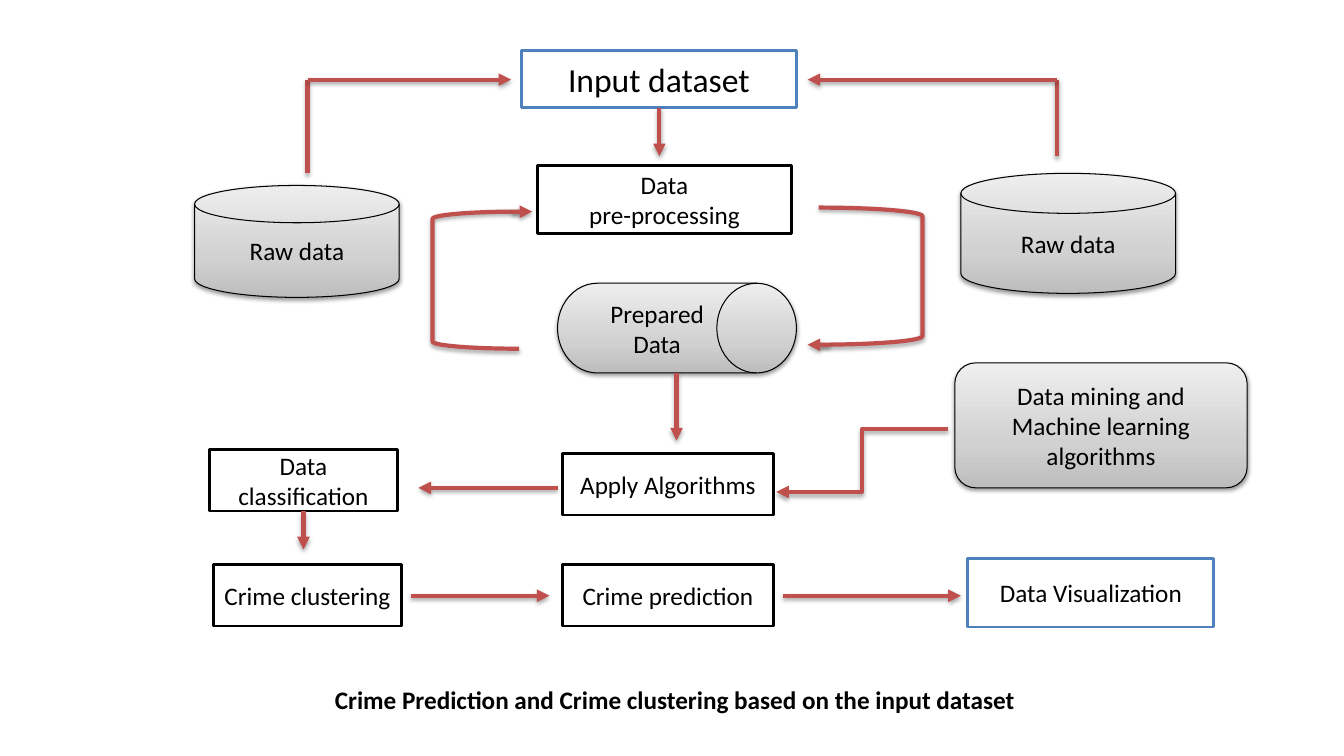
from copy import deepcopy
from dataclasses import dataclass

from lxml.etree import SubElement
from pptx import Presentation
from pptx.dml.color import RGBColor
from pptx.enum.shapes import MSO_CONNECTOR, MSO_SHAPE
from pptx.enum.text import MSO_ANCHOR, PP_ALIGN
from pptx.oxml.ns import qn
from pptx.util import Inches, Pt


@dataclass(frozen=True)
class Theme:
    font: str = "Calibri"
    text: RGBColor = RGBColor(0x00, 0x00, 0x00)
    paper: RGBColor = RGBColor(0xFF, 0xFF, 0xFF)
    outline: RGBColor = RGBColor(0x00, 0x00, 0x00)
    accent: RGBColor = RGBColor(0x4F, 0x81, 0xBD)
    flow: RGBColor = RGBColor(0xC0, 0x50, 0x4D)
    metal: tuple = (
        (0, RGBColor(0xBD, 0xBD, 0xBD)),
        (0.35, RGBColor(0xD1, 0xD1, 0xD1)),
        (1, RGBColor(0xEE, 0xEE, 0xEE)),
    )
    body_size: int = 18
    heading_size: int = 24
    box_line: float = 2
    store_line: float = 0.75
    flow_line: float = 3
    store_shadow: tuple = (1.6, 38)
    flow_shadow: tuple = (1.8, 35)


class FlowSlide:
    def __init__(self, slide, theme):
        self.slide = slide
        self.theme = theme

    def caption(self, text, *place):
        title = self.slide.shapes.title
        title.left, title.top, title.width, title.height = map(Inches, place)
        self._write(title.text_frame, text, self.theme.body_size, PP_ALIGN.LEFT, True)
        title.text_frame.vertical_anchor = MSO_ANCHOR.TOP

    def box(self, text, *place, line=None, size=None):
        step = self._shape(MSO_SHAPE.RECTANGLE, place, line or self.theme.outline, self.theme.box_line)
        step.fill.solid()
        step.fill.fore_color.rgb = self.theme.paper
        self._write(step.text_frame, text, size or self.theme.body_size)

    def store(self, kind, text, *place):
        store = self._shape(kind, place, self.theme.outline, self.theme.store_line)
        store.fill.gradient()
        store.fill.gradient_angle = 90
        stop_list = store._element.spPr.find(".//" + qn("a:gsLst"))
        stop_list.insert(1, deepcopy(stop_list[0]))
        for stop, (position, colour) in zip(store.fill.gradient_stops, self.theme.metal):
            stop.position = position
            stop.color.rgb = colour
        self._shade(store._element.spPr, self.theme.store_shadow)
        self._write(store.text_frame, text, self.theme.body_size)

    def bracket(self, kind, *place):
        loop = self._shape(kind, place, self.theme.flow, self.theme.flow_line)
        loop.fill.background()
        self._shade(loop._element.spPr, self.theme.flow_shadow)

    def flow(self, *ends, kind=MSO_CONNECTOR.STRAIGHT, arrow=True):
        link = self.slide.shapes.add_connector(kind, *map(Inches, ends))
        self._stroke(link.line, self.theme.flow, self.theme.flow_line)
        properties = link._element.spPr
        if arrow:
            SubElement(properties.find(qn("a:ln")), qn("a:tailEnd"), type="triangle")
        SubElement(properties, qn("a:effectLst"))
        self._shade(properties, self.theme.flow_shadow)

    def _shape(self, kind, place, colour, width):
        shape = self.slide.shapes.add_shape(kind, *map(Inches, place))
        shape.shadow.inherit = False
        self._stroke(shape.line, colour, width)
        return shape

    def _stroke(self, line, colour, width):
        line.color.rgb = colour
        line.width = Pt(width)

    def _shade(self, properties, shadow):
        distance, opacity = shadow
        effect = SubElement(
            properties.find(qn("a:effectLst")), qn("a:outerShdw"),
            blurRad=str(Pt(3.1)), dist=str(Pt(distance)), dir="5400000", rotWithShape="0",
        )
        colour = SubElement(effect, qn("a:srgbClr"), val=str(self.theme.text))
        SubElement(colour, qn("a:alpha"), val=str(opacity * 1000))

    def _write(self, frame, text, size, align=PP_ALIGN.CENTER, bold=False):
        frame.text = text
        frame.word_wrap = True
        frame.vertical_anchor = MSO_ANCHOR.MIDDLE
        for paragraph in frame.paragraphs:
            paragraph.alignment = align
            for run in paragraph.runs:
                run.font.name = self.theme.font
                run.font.size = Pt(size)
                run.font.bold = bold
                run.font.color.rgb = self.theme.text


presentation = Presentation()
presentation.slide_width = Inches(13.33)
presentation.slide_height = Inches(7.5)
theme = Theme()
chart = FlowSlide(presentation.slides.add_slide(presentation.slide_layouts[5]), theme)

chart.box("Input dataset", 5.17, 0.5, 2.73, 0.57, line=theme.accent, size=theme.heading_size)
chart.box("Data\npre-processing", 5.33, 1.64, 2.52, 0.68)
chart.box("Data classification", 2.08, 4.46, 1.86, 0.61)
chart.box("Apply Algorithms", 5.58, 4.5, 2.09, 0.61)
chart.box("Crime clustering", 2.12, 5.6, 1.86, 0.61)
chart.box("Crime prediction", 5.58, 5.6, 2.09, 0.61)
chart.box("Data Visualization", 9.6, 5.54, 2.44, 0.68, line=theme.accent)

chart.store(MSO_SHAPE.FLOWCHART_DIRECT_ACCESS_STORAGE, "Prepared Data", 5.53, 2.81, 2.37, 0.89)
chart.store(MSO_SHAPE.ROUNDED_RECTANGLE, "Data mining and Machine learning algorithms", 9.47, 3.6, 2.9, 1.24)
chart.store(MSO_SHAPE.FLOWCHART_MAGNETIC_DISK, "Raw data", 1.93, 1.84, 2.03, 1.11)
chart.store(MSO_SHAPE.FLOWCHART_MAGNETIC_DISK, "Raw data", 9.53, 1.72, 2.13, 1.19)

for x, top, bottom in ((6.54, 1.07, 1.55), (6.71, 3.7, 4.37), (3.01, 5.07, 5.45)):
    chart.flow(x, top, x, bottom)
for y, start, end in ((4.84, 5.53, 4.15), (5.91, 4.08, 5.45), (5.91, 7.77, 9.53)):
    chart.flow(start, y, end, y)
for raw_x, raw_y, input_x in ((3.05, 1.72, 5.07), (10.48, 1.55, 8.01)):
    chart.flow(raw_x, 0.79, raw_x, raw_y, arrow=False)
    chart.flow(raw_x, 0.79, input_x, 0.79)
chart.flow(9.4, 4.26, 7.7, 4.88, kind=MSO_CONNECTOR.ELBOW)

chart.bracket(MSO_SHAPE.RIGHT_BRACKET, 8.12, 2.06, 1.03, 1.36)
chart.bracket(MSO_SHAPE.LEFT_BRACKET, 4.29, 2.1, 0.86, 1.36)
chart.flow(8.23, 3.42, 8.01, 3.42)
chart.flow(5.08, 2.1, 5.28, 2.1)

chart.caption("Crime Prediction and Crime clustering based on the input dataset", 3.22, 6.74, 7.31, 0.4)
presentation.save("out.pptx")
